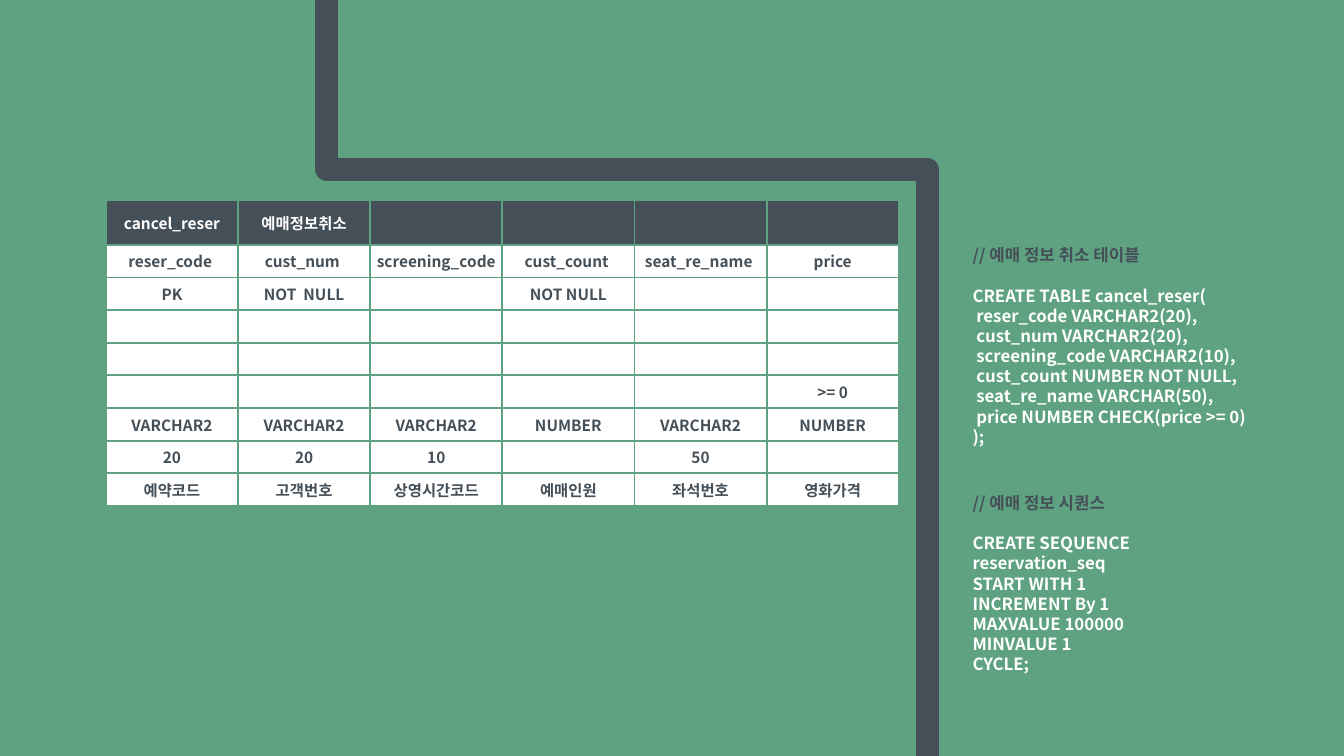
from lxml.etree import SubElement
from pptx import Presentation
from pptx.dml.color import RGBColor
from pptx.enum.text import MSO_ANCHOR, MSO_AUTO_SIZE, PP_ALIGN
from pptx.enum.shapes import MSO_CONNECTOR
from pptx.oxml.ns import qn
from pptx.util import Cm, Pt

GREEN = RGBColor(0x5F, 0xA2, 0x81)
SLATE = RGBColor(0x45, 0x4F, 0x58)
WHITE = RGBColor(0xFF, 0xFF, 0xFF)
FONT = "Noto Sans CJK KR"

TABLE_ROWS = [
    ["cancel_reser", "예매정보취소", "", "", "", ""],
    ["reser_code ", "cust_num ", "screening_code", "cust_count ", "seat_re_name ", "price"],
    ["PK", "NOT  NULL", "", "NOT NULL", "", ""],
    [""] * 6,
    [""] * 6,
    ["", "", "", "", "", ">= 0"],
    ["VARCHAR2", "VARCHAR2", "VARCHAR2", "NUMBER", "VARCHAR2", "NUMBER"],
    ["20", "20", "10", "", "50", ""],
    ["예약코드", "고객번호", "상영시간코드", "예매인원", "좌석번호", "영화가격"],
]
CREATE_TABLE = [
    "CREATE TABLE cancel_reser(",
    " reser_code VARCHAR2(20),",
    " cust_num VARCHAR2(20),",
    " screening_code VARCHAR2(10),",
    " cust_count NUMBER NOT NULL,",
    " seat_re_name VARCHAR(50),",
    " price NUMBER CHECK(price >= 0)",
    ");",
]
CREATE_SEQUENCE = [
    "CREATE SEQUENCE reservation_seq",
    "START WITH 1",
    "INCREMENT By 1",
    "MAXVALUE 100000",
    "MINVALUE 1",
    "CYCLE;",
]


def write_text(p, text, size=12, color=WHITE, align=PP_ALIGN.LEFT, spacing=None, after=0):
    p.alignment = align
    p.space_after = Pt(after)
    if spacing:
        p.line_spacing = Pt(spacing)
    if not text:
        p._p.get_or_add_endParaRPr().set("sz", str(size * 100))
        return
    r = p.add_run()
    r.text = text
    r.font.size, r.font.bold, r.font.name = Pt(size), True, FONT
    r.font.color.rgb = color
    SubElement(r._r.get_or_add_rPr(), qn("a:ea"), typeface=FONT)


class SlideBuilder:
    """Holds the slide and its style and adds each kind of element."""

    line_pitch = 14.4
    cell_margin = Cm(0.13)

    def __init__(self, prs):
        self.s = prs.slides.add_slide(prs.slide_layouts[6])
        self.s.background.fill.solid()
        self.s.background.fill.fore_color.rgb = GREEN

    def style_cell(self, cell, fill):
        cell.vertical_anchor = MSO_ANCHOR.MIDDLE
        cell.margin_left = cell.margin_right = self.cell_margin
        cell.margin_top = cell.margin_bottom = self.cell_margin
        tcPr = cell._tc.get_or_add_tcPr()
        for side in ("lnL", "lnR", "lnT", "lnB"):
            ln = SubElement(tcPr, qn(f"a:{side}"), w=str(Pt(1.5)))
            solid = SubElement(ln, qn("a:solidFill"))
            SubElement(solid, qn("a:srgbClr"), val=str(GREEN))
        cell.fill.solid()
        cell.fill.fore_color.rgb = fill

    def table(self, x, y, col_width, header_height, row_height, rows):
        n_rows, n_cols = len(rows), len(rows[0])
        height = header_height + row_height * (n_rows - 1)
        sp = self.s.shapes.add_table(
            n_rows, n_cols, Cm(x), Cm(y), Cm(col_width * n_cols), Cm(height))
        tbl = sp.table
        tbl.horz_banding = False
        for col in tbl.columns:
            col.width = Cm(col_width)
        for i, values in enumerate(rows):
            tbl.rows[i].height = Cm(row_height if i else header_height)
            fill, color = (WHITE, SLATE) if i else (SLATE, WHITE)
            for j, value in enumerate(values):
                cell = tbl.cell(i, j)
                self.style_cell(cell, fill)
                write_text(cell.text_frame.paragraphs[0], value, size=11,
                           color=color, align=PP_ALIGN.CENTER)

    def code(self, x, y, w, h, heading, lines):
        tf = self.s.shapes.add_textbox(Cm(x), Cm(y), Cm(w), Cm(h)).text_frame
        tf.word_wrap = True
        tf.auto_size = MSO_AUTO_SIZE.SHAPE_TO_FIT_TEXT
        write_text(tf.paragraphs[0], heading, color=SLATE,
                   spacing=self.line_pitch, after=self.line_pitch)
        for line in lines:
            write_text(tf.add_paragraph(), line, spacing=self.line_pitch)

    def line(self, x1, y1, x2, y2):
        sp = self.s.shapes.add_connector(
            MSO_CONNECTOR.STRAIGHT, Cm(x1), Cm(y1), Cm(x2), Cm(y2))
        sp.line.color.rgb = SLATE
        sp.line.width = Pt(16)
        sp.line._get_or_add_ln().set("cap", "rnd")
        SubElement(sp._element.spPr, qn("a:effectLst"))


def main():
    prs = Presentation()
    prs.slide_width, prs.slide_height = Cm(33.87), Cm(19.05)
    slide = SlideBuilder(prs)
    slide.table(2.67, 5.03, 3.33, 1.14, 0.82, TABLE_ROWS)
    slide.code(24.26, 6.05, 7.98, 5.89, "// 예매 정보 취소 테이블", CREATE_TABLE)
    slide.code(24.26, 12.29, 7.59, 4.37, "// 예매 정보 시퀀스", CREATE_SEQUENCE)
    path_points = [(8.23, 0), (8.23, 4.27), (23.37, 4.27), (23.37, 19.05)]
    for start, end in zip(path_points, path_points[1:]):
        slide.line(*start, *end)
    prs.save("out.pptx")


if __name__ == "__main__":
    main()
